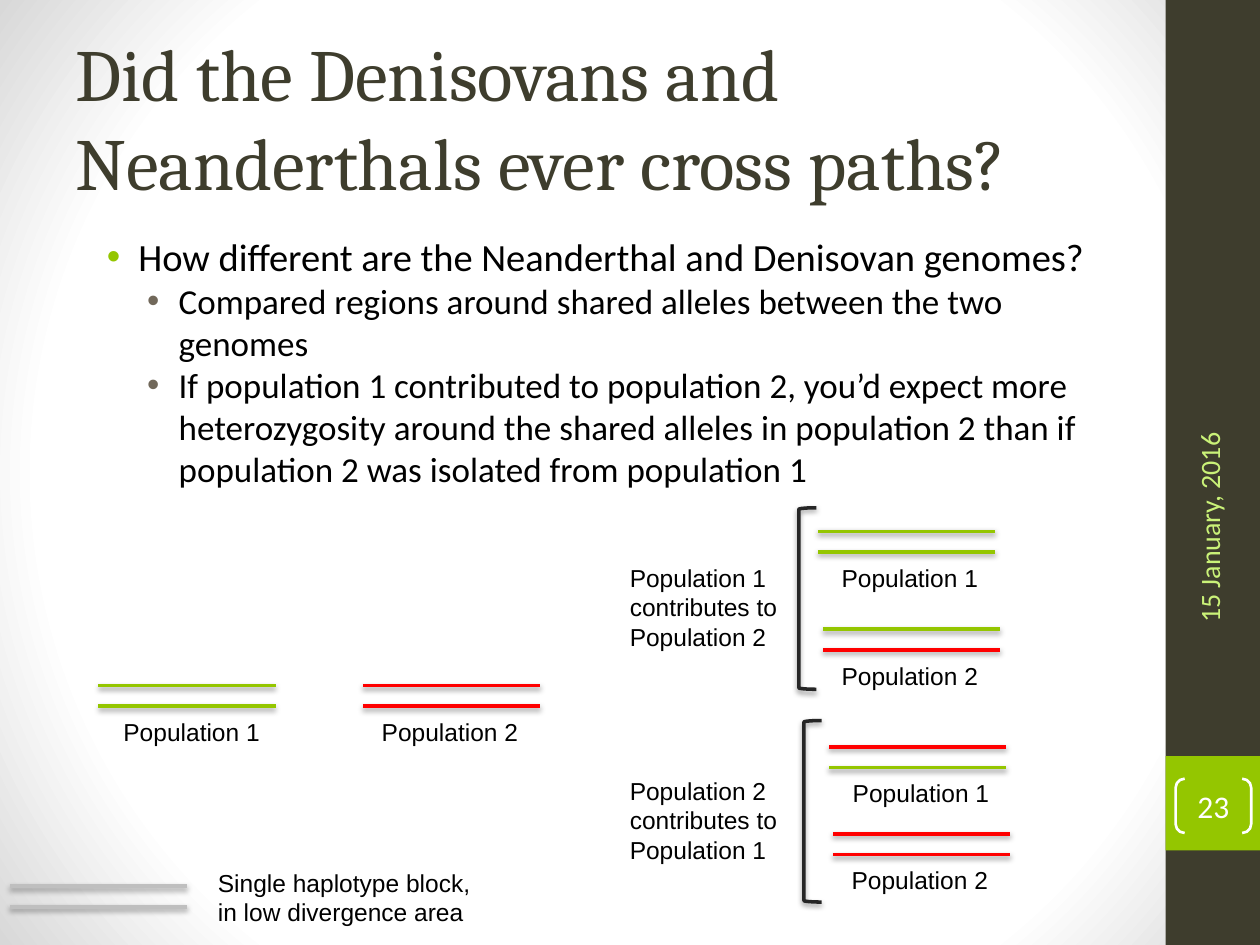
from pptx import Presentation
from pptx.dml.color import RGBColor
from pptx.enum import shapes, text
from pptx.oxml import parse_xml
from pptx.oxml.ns import nsdecls
from pptx.util import Pt

OLIVE = RGBColor(0x3E, 0x3D, 0x2D)
GREEN = RGBColor(0x94, 0xC6, 0x00)
RED = RGBColor(0xFF, 0x00, 0x00)
GREY = RGBColor(0xBF, 0xBF, 0xBF)
DARK = RGBColor(0x26, 0x26, 0x26)
BROWN = RGBColor(0x71, 0x68, 0x5A)
LIME = RGBColor(0xCA, 0xF2, 0x78)
BLACK = RGBColor(0, 0, 0)
WHITE = RGBColor(0xFF, 0xFF, 0xFF)

# Content
TITLE = "Did the Denisovans and Neanderthals ever cross paths?"
POINTS = [  # level, text
    (0, "How different are the Neanderthal and Denisovan genomes?"),
    (1, "Compared regions around shared alleles between the two genomes"),
    (1, "If population 1 contributed to population 2, you’d expect more heterozygosity "
        "around the shared alleles in population 2 than if population 2 was isolated "
        "from population 1"),
]
LEVELS = [  # size, left indent, bullet colour
    (22, 36, GREEN),
    (20, 59, BROWN),
]
HAPLOTYPES = [  # left, top, upper colour, lower colour, label, label left
    (56.2, 391.7, GREEN, GREEN, "Population 1", 63.4),
    (207.4, 391.7, RED, RED, "Population 2", 211),
    (467.3, 303.6, GREEN, GREEN, "Population 1", 473.8),
    (470.2, 359.6, GREEN, RED, "Population 2", 473.8),
    (473.8, 426.8, RED, GREEN, "Population 1", 480.2),
    (475.9, 476.6, RED, RED, "Population 2", 479.5),
    (5.8, 506.4, GREY, GREY, None, None),
]
NOTES = [  # left, top, width, height, text
    (352.8, 318.2, 103.7, 58.3, "Population 1 contributes to Population 2"),
    (352.8, 439.9, 103.7, 58.3, "Population 2 contributes to Population 1"),
    (117.4, 492.5, 170, 41, "Single haplotype block, in low divergence area"),
]
BRACKETS = [(456.5, 290.2), (459.4, 411.8)]
PAGE, DATE = "23", "15 January, 2016"

BLOCK_LENGTH, BLOCK_GAP, LABEL_DROP = 101.3, 11.8, 14.4


def add_run(paragraph, words, size, font, colour):
    run = paragraph.add_run()
    run.text = words
    run.font.size, run.font.name = Pt(size), font
    run.font.color.rgb = colour


def set_frame(shape, inset=None, wrap=True, anchor=text.MSO_ANCHOR.TOP):
    frame = shape.text_frame
    frame.word_wrap, frame.vertical_anchor = wrap, anchor
    if inset is not None:
        frame.margin_left = frame.margin_right = Pt(inset)
        frame.margin_top = frame.margin_bottom = Pt(inset)
    return frame


def add_text(slide, box, words, size, font, colour, **frame_options):
    textbox = slide.shapes.add_textbox(*map(Pt, box))
    frame = set_frame(textbox, **frame_options)
    add_run(frame.paragraphs[0], words, size, font, colour)
    return textbox


def add_shadow(shape):
    properties = shape._element.spPr
    for old in properties.findall("{*}effectLst"):
        properties.remove(old)
    properties.append(parse_xml(
        f'<a:effectLst {nsdecls("a")}>'
        f'<a:outerShdw blurRad="{Pt(3.1)}" dist="{Pt(1.6)}" dir="5400000" rotWithShape="0">'
        '<a:srgbClr val="000000"><a:alpha val="38000"/></a:srgbClr>'
        '</a:outerShdw></a:effectLst>'))


def add_outline(slide, kind, box, colour, width):
    shape = slide.shapes.add_shape(kind, *map(Pt, box))
    shape.shadow.inherit = False
    shape.fill.background()
    shape.line.color.rgb, shape.line.width = colour, Pt(width)
    return shape


def add_panel(slide, box, colour):
    panel = slide.shapes.add_shape(shapes.MSO_SHAPE.RECTANGLE, *map(Pt, box))
    panel.shadow.inherit = False
    panel.fill.solid()
    panel.fill.fore_color.rgb = colour
    panel.line.fill.background()


def add_strand(slide, left, y, colour):
    strand = slide.shapes.add_connector(
        shapes.MSO_CONNECTOR.STRAIGHT, Pt(left), Pt(y), Pt(left + BLOCK_LENGTH), Pt(y))
    strand.line.color.rgb, strand.line.width = colour, Pt(2)
    add_shadow(strand)


def set_background(slide):
    stops = "".join(f'<a:gs pos="{pos * 1000}"><a:srgbClr val="{colour}"/></a:gs>'
                    for pos, colour in [(0, "FFFFFF"), (75, "FFFFFF"), (100, "D8D8D8")])
    slide._element.cSld.insert(0, parse_xml(
        f'<p:bg {nsdecls("p", "a")}><p:bgPr><a:gradFill rotWithShape="1">'
        f'<a:gsLst>{stops}</a:gsLst><a:path path="circle">'
        '<a:fillToRect l="50000" t="50000" r="50000" b="50000"/></a:path>'
        '</a:gradFill><a:effectLst/></p:bgPr></p:bg>'))


def add_points(slide):
    body = slide.shapes.add_textbox(Pt(36), Pt(126), Pt(600), Pt(174))
    frame = set_frame(body, inset=7.2)
    for i, (level, words) in enumerate(POINTS):
        size, indent, bullet_colour = LEVELS[level]
        point = frame.add_paragraph() if i else frame.paragraphs[0]
        point.level = level
        add_run(point, words, size, "Calibri", BLACK)
        properties = point._p.get_or_add_pPr()
        properties.set("marL", str(Pt(indent)))
        properties.set("indent", str(Pt(-18)))
        for bullet in (f'<a:buClr {nsdecls("a")}><a:srgbClr val="{bullet_colour}"/></a:buClr>',
                       f'<a:buFont {nsdecls("a")} typeface="Arial"/>',
                       f'<a:buChar {nsdecls("a")} char="•"/>'):
            properties.append(parse_xml(bullet))


def main():
    deck = Presentation()
    deck.slide_width, deck.slide_height = Pt(720), Pt(540)
    slide = deck.slides.add_slide(deck.slide_layouts[6])
    set_background(slide)

    # Side band
    add_panel(slide, (666, 0, 54, 540), OLIVE)
    add_panel(slide, (666, 432, 54, 54), GREEN)

    # Title and points
    add_text(slide, (36, 21.6, 600, 90), TITLE, 42, "Cambria", OLIVE,
             inset=7.2, anchor=text.MSO_ANCHOR.MIDDLE)
    add_points(slide)

    # Haplotype pairs with their labels
    for left, top, upper, lower, label, label_left in HAPLOTYPES:
        add_strand(slide, left, top, upper)
        add_strand(slide, left, top + BLOCK_GAP, lower)
        if label:
            add_text(slide, (label_left, top + LABEL_DROP, 93, 24.2), label,
                     14, "Arial", BLACK, wrap=False)

    # Scenario notes and brackets
    for *box, words in NOTES:
        add_text(slide, box, words, 14, "Arial", BLACK)
    for left, top in BRACKETS:
        bracket = add_outline(slide, shapes.MSO_SHAPE.LEFT_BRACKET,
                              (left, top, 10.1, 103.7), DARK, 2)
        add_shadow(bracket)

    # Page number and date
    page = add_outline(slide, shapes.MSO_SHAPE.DOUBLE_BRACKET,
                       (671.8, 445, 43.2, 31), WHITE, 1.5)
    page.adjustments[0] = 0.167
    number = set_frame(page, inset=0, anchor=text.MSO_ANCHOR.MIDDLE).paragraphs[0]
    number.alignment = text.PP_ALIGN.CENTER
    add_run(number, PAGE, 18, "Calibri", WHITE)
    date = add_text(slide, (597.6, 319, 186.5, 28.8), DATE, 16, "Calibri", LIME,
                    inset=7.2, anchor=text.MSO_ANCHOR.MIDDLE)
    date.rotation = 270
    date.text_frame.paragraphs[0].alignment = text.PP_ALIGN.RIGHT

    deck.save("out.pptx")


if __name__ == "__main__":
    main()
